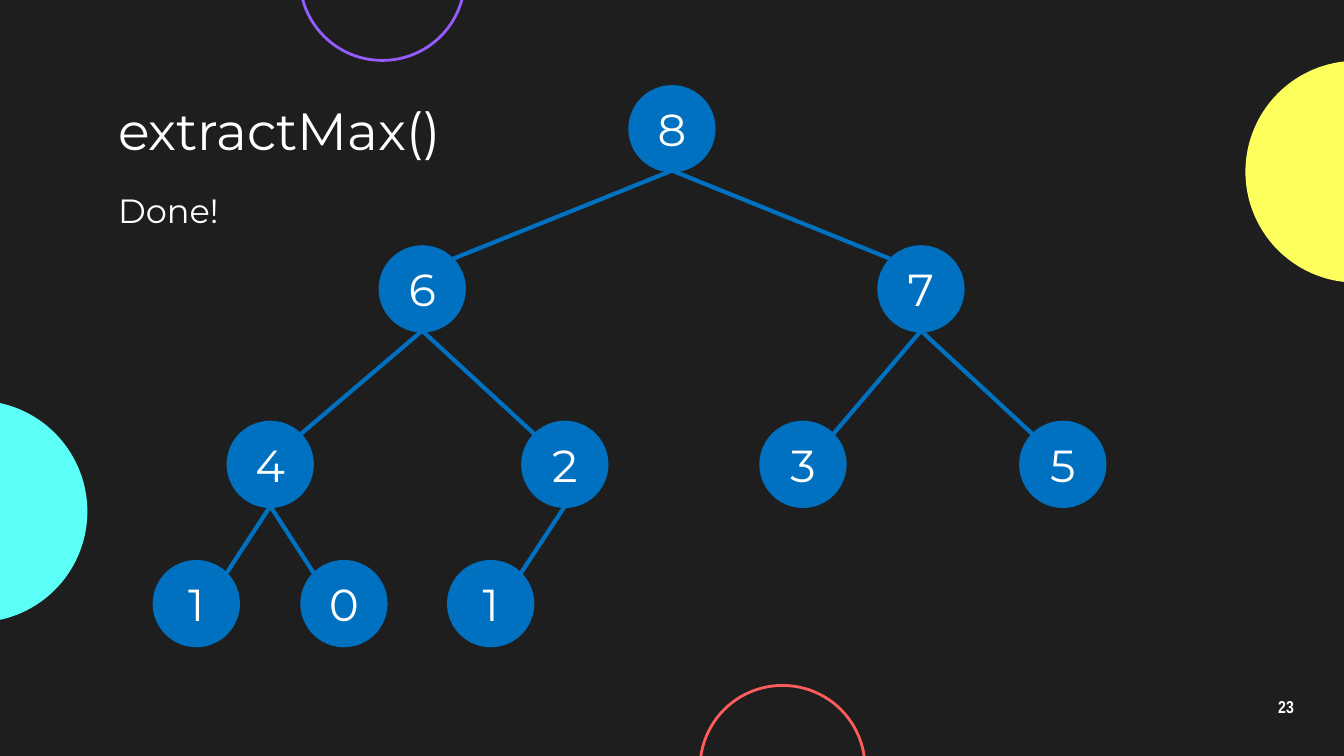
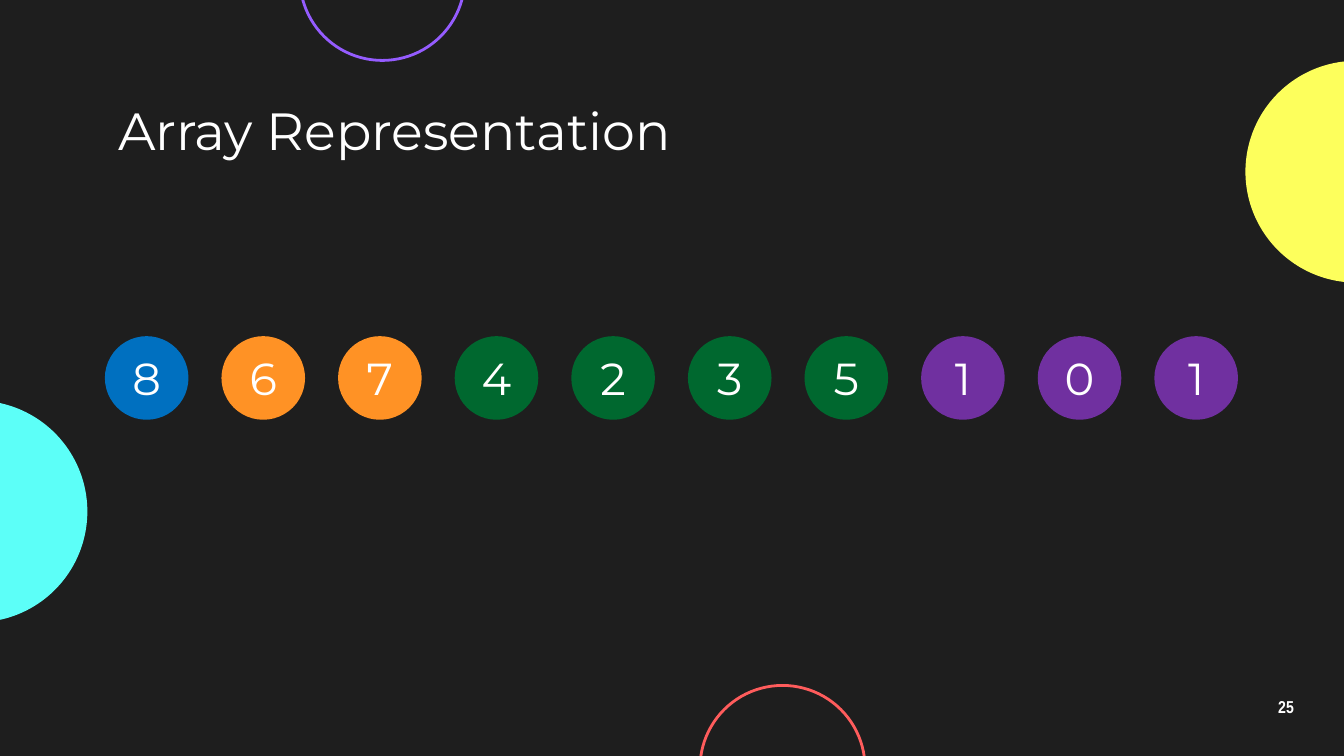
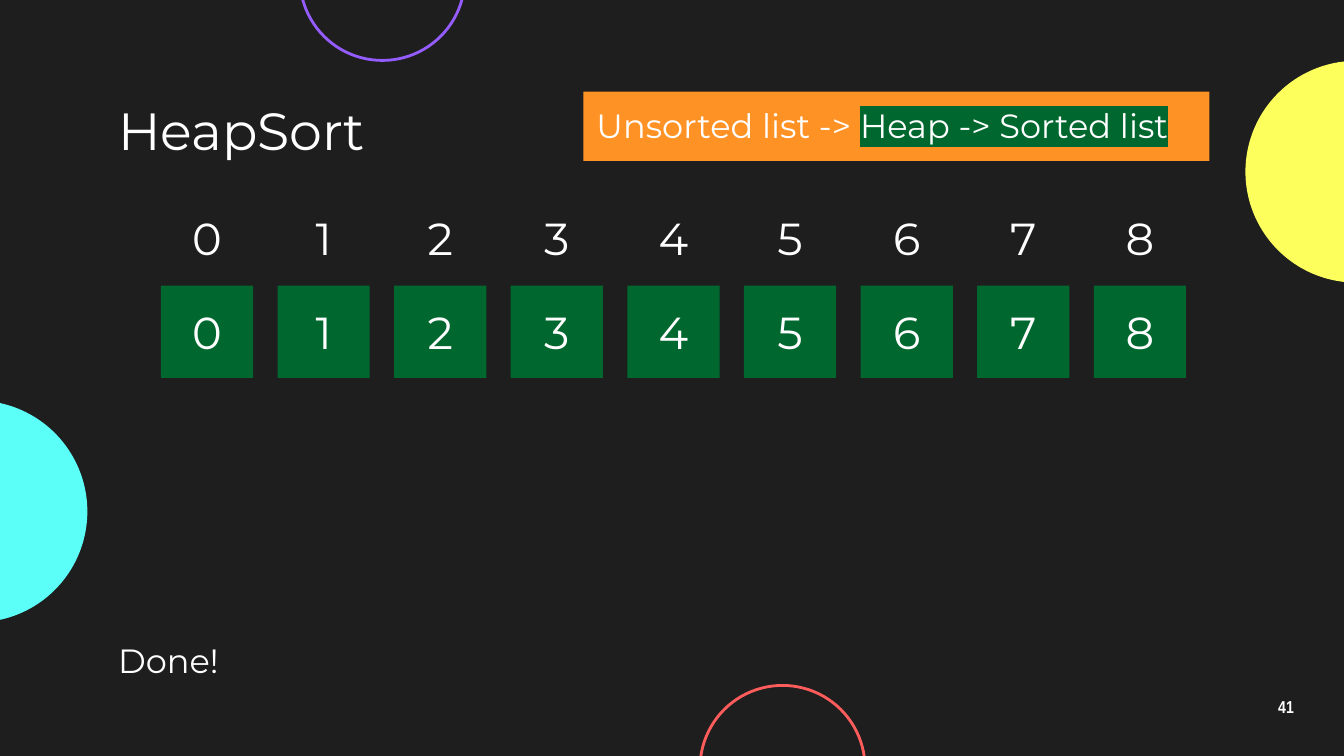
"""Build three slides on heaps: extractMax, array representation and HeapSort."""
from lxml import etree
from pptx import Presentation
from pptx.dml.color import RGBColor
from pptx.enum.shapes import MSO_CONNECTOR, MSO_SHAPE
from pptx.enum.text import MSO_ANCHOR, PP_ALIGN
from pptx.oxml.ns import qn
from pptx.util import Pt

OVAL, RECTANGLE = MSO_SHAPE.OVAL, MSO_SHAPE.RECTANGLE
STRAIGHT = MSO_CONNECTOR.STRAIGHT
TOP, MIDDLE = MSO_ANCHOR.TOP, MSO_ANCHOR.MIDDLE
LEFT, CENTER = PP_ALIGN.LEFT, PP_ALIGN.CENTER

COLORS = {
    "background": "1E1E1E", "text": "FFFFFF", "cyan": "5CFFF8",
    "yellow": "FDFF5C", "violet": "955CFF", "red": "FF5C5C",
    "blue": "0070C0", "orange": "FF9225", "green": "00682F", "purple": "7030A0",
}
FONT, NUMBER_FONT = "Montserrat", "Arial Narrow"

DISCS = [
    (-72, 214.6, 118.8, "cyan", None),
    (667.2, 32.6, 118.8, "yellow", None),
    (160.6, -56, 88.4, None, "violet"),
    (375, 367.2, 88.4, None, "red"),
]
TREE_TITLE, ARRAY_TITLE, SORT_TITLE = "extractMax()", "Array Representation", "HeapSort"
DONE = "Done!"
HEAP = [8, 6, 7, 4, 2, 3, 5, 1, 0, 1]
LEVEL_COLORS = ["blue", "orange", "green", "purple"]
LEVEL_TOPS = [46.6, 132.4, 226.4, 301]
NODE_CENTERS = [360, 226.2, 493.4, 144.8, 302.6, 430.2, 569.4, 105.2, 184.3, 262.9]
SORTED = range(9)
BANNER = [("Unsorted list -> ", None), ("Heap -> Sorted list", "green")]

MARGIN = 56.2
NODE = 44.8
INSET = 7.2
PITCH = 62.47
SQUARE = 49.4
SQUARES_LEFT = 86.2


def color(name):
    return RGBColor.from_string(COLORS[name])


def add_shape(page, kind, place, fill=None, line=None, width=1.5):
    shape = page.shapes.add_shape(kind, *map(Pt, place))
    shape.shadow.inherit = False
    for part, name in ((shape.fill, fill), (shape.line.fill, line)):
        if name:
            part.solid()
            part.fore_color.rgb = color(name)
        else:
            part.background()
    if line:
        shape.line.width = Pt(width)
    return shape


def write(shape, spans, size, align=LEFT, anchor=MIDDLE, inset=None, font=FONT):
    frame = shape.text_frame
    frame.word_wrap = True
    frame.vertical_anchor = anchor
    if inset is not None:
        frame.margin_left = frame.margin_right = Pt(inset)
        frame.margin_top = frame.margin_bottom = Pt(inset)
    para = frame.paragraphs[0]
    para.alignment = align
    para.font.name = font
    para.font.size = Pt(size)
    para.font.color.rgb = color("text")
    for text, highlight in spans:
        span = para.add_run()
        span.text = text
        if highlight:
            mark = etree.SubElement(span.font._element, qn("a:highlight"))
            etree.SubElement(mark, qn("a:srgbClr"), val=COLORS[highlight])
    return para


def add_text(page, place, text, size, **style):
    box = page.shapes.add_textbox(*map(Pt, place))
    return write(box, [(text, None)], size, **style)


def add_digit(page, kind, place, value, fill, line=None):
    shape = add_shape(page, kind, place, fill, line, 2)
    write(shape, [(str(value), None)], 24, align=CENTER)


def add_edge(page, start, end):
    edge = page.shapes.add_connector(STRAIGHT, *map(Pt, start + end))
    edge.line.color.rgb = color("blue")
    edge.line.width = Pt(2.25)
    etree.SubElement(edge._element.spPr, qn("a:effectLst"))


def add_page(deck, title, number):
    page = deck.slides.add_slide(deck.slide_layouts[6])
    page.background.fill.solid()
    page.background.fill.fore_color.rgb = color("background")
    for left, top, size, fill, line in DISCS:
        add_shape(page, OVAL, (left, top, size, size), fill, line)
    para = add_text(page, (667.4, 367, 43.2, 24.5), str(number), 9.2,
                    align=CENTER, inset=INSET, font=NUMBER_FONT)
    para.font.bold = True
    para.line_spacing = 0.9
    add_text(page, (MARGIN, 51.1, 607.7, 36.7), title, 28, inset=INSET)
    return page


def level(index):
    return (index + 1).bit_length() - 1


def build_tree(deck):
    page = add_page(deck, TREE_TITLE, 23)
    radius = NODE / 2
    diagonal = radius * 0.71
    for child in range(1, len(HEAP)):
        parent = (child - 1) // 2
        side = 1 if child % 2 else -1
        start = (NODE_CENTERS[parent], LEVEL_TOPS[level(parent)] + NODE)
        end = (NODE_CENTERS[child] + side * diagonal,
               LEVEL_TOPS[level(child)] + radius - diagonal)
        add_edge(page, start, end)
    for index, (value, center) in enumerate(zip(HEAP, NODE_CENTERS)):
        place = (center - radius, LEVEL_TOPS[level(index)], NODE, NODE)
        add_digit(page, OVAL, place, value, "blue", "blue")
    add_text(page, (MARGIN, 94.3, 143.3, 36), DONE, 18, anchor=TOP, inset=INSET)


def build_array(deck):
    page = add_page(deck, ARRAY_TITLE, 25)
    for index, value in enumerate(HEAP):
        place = (MARGIN + index * PITCH, 180.1, NODE, NODE)
        add_digit(page, OVAL, place, value, LEVEL_COLORS[level(index)])


def build_sort(deck):
    page = add_page(deck, SORT_TITLE, 41)
    for index, value in enumerate(SORTED):
        left = SQUARES_LEFT + index * PITCH
        add_digit(page, RECTANGLE, (left, 153, SQUARE, SQUARE), value, "green")
        add_text(page, (left, 112.3, SQUARE, 30.2), str(index), 24, align=CENTER)
    add_text(page, (MARGIN, 335.5, 339.1, 36.7), DONE, 18, anchor=TOP, inset=INSET)
    banner = add_shape(page, RECTANGLE, (312.5, 49.1, 335.5, 37.2), "orange")
    write(banner, BANNER, 18, anchor=TOP, inset=INSET)


def main():
    deck = Presentation()
    deck.slide_width, deck.slide_height = Pt(720), Pt(405)
    build_tree(deck)
    build_array(deck)
    build_sort(deck)
    deck.save("out.pptx")


if __name__ == "__main__":
    main()
